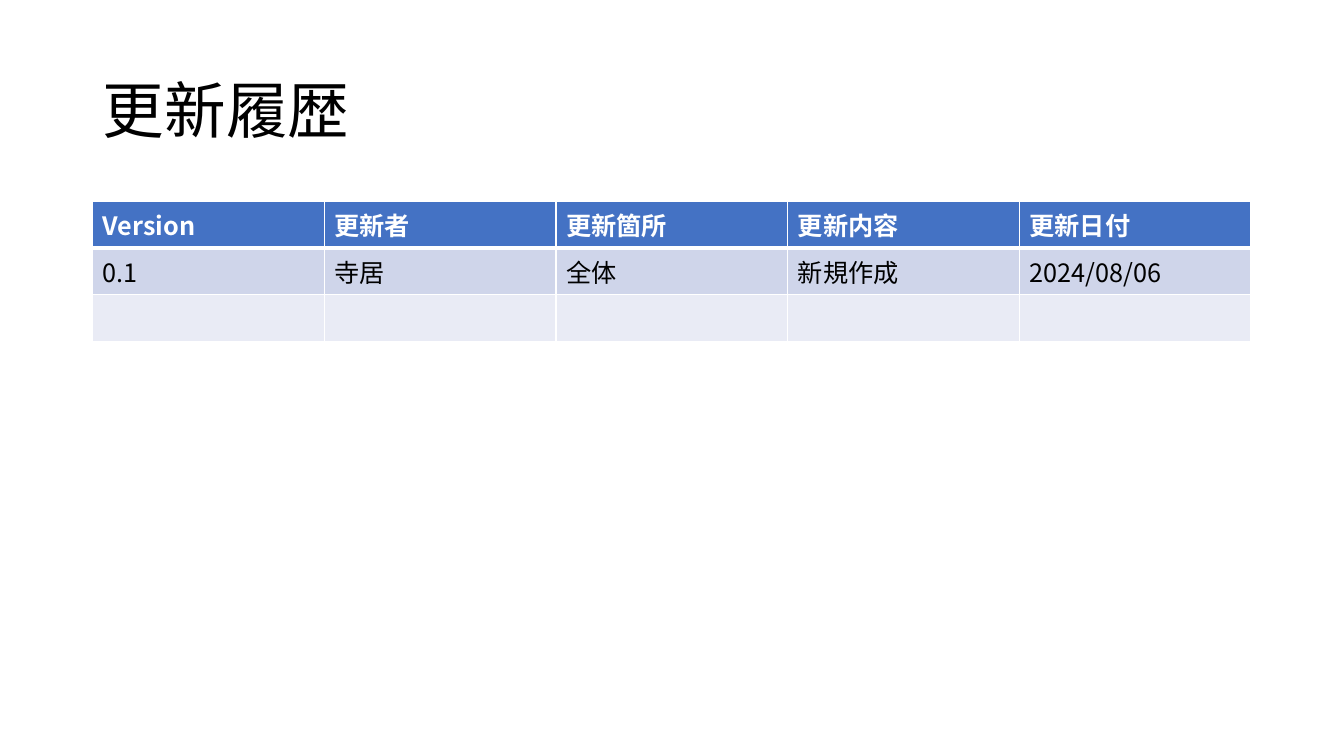
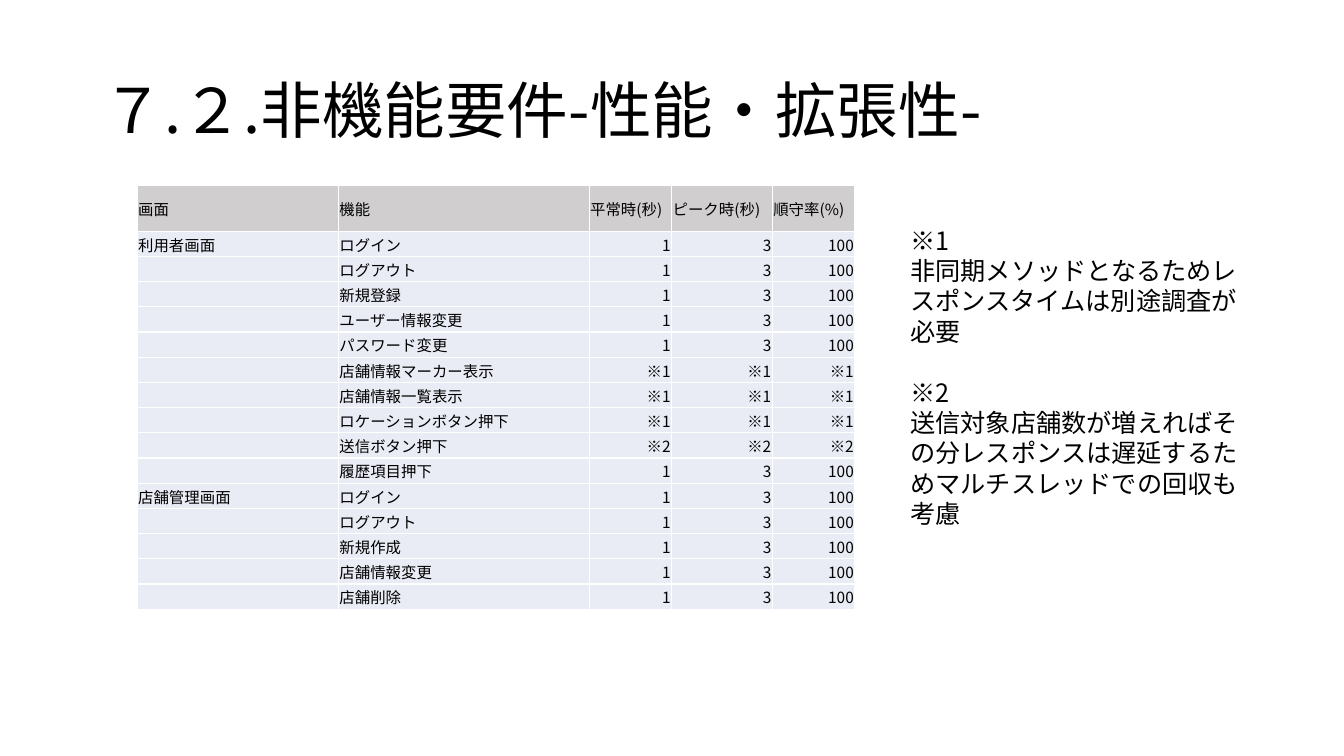
from lxml import etree
from pptx import Presentation
from pptx.dml.color import RGBColor
from pptx.enum.text import MSO_ANCHOR, MSO_AUTO_SIZE, PP_ALIGN
from pptx.oxml.ns import qn
from pptx.util import Inches, Pt

LEFT, RIGHT = PP_ALIGN.LEFT, PP_ALIGN.RIGHT
TOP, MIDDLE = MSO_ANCHOR.TOP, MSO_ANCHOR.MIDDLE
NO_FIT, GROW = MSO_AUTO_SIZE.NONE, MSO_AUTO_SIZE.SHAPE_TO_FIT_TEXT
TITLE_ONLY = 5

SLIDE_W, SLIDE_H = 13.33, 7.5
MARGIN = 0.92
CONTENT_W = SLIDE_W - 2 * MARGIN
TITLE_BOX = (MARGIN, 0.4, CONTENT_W, 1.45)

FONT = "Noto Sans CJK JP"
BLACK, WHITE = "000000", "FFFFFF"
BLUE, BAND_DARK, BAND_LIGHT, GRAY = "4472C4", "CFD5EA", "E9EBF5", "D0CECE"

HISTORY_FORMAT = {"vertical_anchor": TOP}
PERFORMANCE_FORMAT = {
    "vertical_anchor": MIDDLE,
    "margin_left": Inches(0.01),
    "margin_right": Inches(0.01),
    "margin_top": Inches(0.01),
    "margin_bottom": 0,
}

HISTORY = [
    ["Version", "更新者", "更新箇所", "更新内容", "更新日付"],
    ["0.1", "寺居", "全体", "新規作成", "2024/08/06"],
    [""] * 5,
]

MEASURED = ["1", "3", "100"]
SCREENS = {
    "利用者画面": [
        ("ログイン", MEASURED),
        ("ログアウト", MEASURED),
        ("新規登録", MEASURED),
        ("ユーザー情報変更", MEASURED),
        ("パスワード変更", MEASURED),
        ("店舗情報マーカー表示", ["※1"] * 3),
        ("店舗情報一覧表示", ["※1"] * 3),
        ("ロケーションボタン押下", ["※1"] * 3),
        ("送信ボタン押下", ["※2"] * 3),
        ("履歴項目押下", MEASURED),
    ],
    "店舗管理画面": [
        (feature, MEASURED)
        for feature in ("ログイン", "ログアウト", "新規作成", "店舗情報変更", "店舗削除")
    ],
}
PERFORMANCE = [["画面", "機能", "平常時(秒)", "ピーク時(秒)", "順守率(%)"]] + [
    ["" if index else screen, feature, *values]
    for screen, features in SCREENS.items()
    for index, (feature, values) in enumerate(features)
]

NOTES = [
    ("※1", "非同期メソッドとなるためレスポンスタイムは別途調査が必要"),
    ("※2", "送信対象店舗数が増えればその分レスポンスは遅延するためマルチスレッドでの回収も考慮"),
]


def rgb(color):
    return RGBColor.from_string(color)


def set_format(target, values):
    for name, value in values.items():
        setattr(target, name, value)


def write(paragraph, text, size, color=BLACK, bold=False, **layout):
    """Put one styled run in a paragraph; an empty one only gets its text size."""
    set_format(paragraph, layout)
    if not text:
        end = etree.SubElement(paragraph._p, qn("a:endParaRPr"), sz=str(size * 100))
        for script in ("latin", "ea"):
            etree.SubElement(end, qn(f"a:{script}"), typeface=FONT)
        return
    run = paragraph.add_run()
    run.text = text
    set_format(run.font, {"name": FONT, "size": Pt(size), "bold": bold})
    run.font.color.rgb = rgb(color)
    latin = run.font._element.find(qn("a:latin"))
    latin.addnext(etree.Element(qn("a:ea"), typeface=FONT))


def set_borders(cell, top, bottom):
    """Draw white cell borders; top and bottom are line widths in points."""
    properties = cell._tc.get_or_add_tcPr()
    widths = {"lnL": 1, "lnR": 1, "lnT": top, "lnB": bottom}
    for index, (side, width) in enumerate(widths.items()):
        line = etree.Element(qn(f"a:{side}"), w=str(Pt(width)))
        fill = etree.SubElement(line, qn("a:solidFill"))
        etree.SubElement(fill, qn("a:srgbClr"), val=WHITE)
        properties.insert(index, line)


def add_titled_slide(deck, title):
    slide = deck.slides.add_slide(deck.slide_layouts[TITLE_ONLY])
    heading = slide.shapes.title
    set_format(heading, dict(zip(("left", "top", "width", "height"), map(Inches, TITLE_BOX))))
    set_format(heading.text_frame,
               {"vertical_anchor": MIDDLE, "word_wrap": True, "auto_size": NO_FIT})
    write(heading.text_frame.paragraphs[0], title, 44, alignment=LEFT, line_spacing=0.9)
    return slide


def add_grid(slide, box, rows, columns, fills, size, cell_format,
             header_color=BLACK, header_bold=False, header_line=1, numeric_from=None):
    """Fill the box with a table; columns are shares, fills go row by row."""
    grid = slide.shapes.add_table(len(rows), len(columns), *map(Inches, box)).table
    set_format(grid, {"first_row": False, "horz_banding": False})
    for column, share in zip(grid.columns, columns):
        column.width = Inches(box[2] * share / sum(columns))
    for row in grid.rows:
        row.height = Inches(box[3] / len(rows))
    for r, texts in enumerate(rows):
        header = r == 0
        for c, text in enumerate(texts):
            cell = grid.cell(r, c)
            set_format(cell, cell_format)
            cell.fill.solid()
            cell.fill.fore_color.rgb = rgb(fills[r])
            set_borders(cell, header_line if r == 1 else 1, header_line if header else 1)
            numeric = numeric_from is not None and c >= numeric_from and not header
            write(cell.text_frame.paragraphs[0], text, size,
                  header_color if header else BLACK, header and header_bold,
                  alignment=RIGHT if numeric else LEFT)


def add_notes(slide, box, notes, size=18, pitch=21.7):
    frame = slide.shapes.add_textbox(*map(Inches, box)).text_frame
    set_format(frame, {"word_wrap": True, "auto_size": GROW})
    for index, (mark, explanation) in enumerate(notes):
        first = frame.add_paragraph() if index else frame.paragraphs[0]
        write(first, mark, size, line_spacing=Pt(pitch),
              space_before=Pt(pitch if index else 0))
        write(frame.add_paragraph(), explanation, size, line_spacing=Pt(pitch))


def add_history_slide(deck):
    slide = add_titled_slide(deck, "更新履歴")
    add_grid(slide, (MARGIN, 2, CONTENT_W, 1.22), HISTORY, [1] * 5,
             [BLUE, BAND_DARK, BAND_LIGHT], 18, HISTORY_FORMAT,
             header_color=WHITE, header_bold=True, header_line=3)


def add_performance_slide(deck):
    slide = add_titled_slide(deck, "７.２.非機能要件-性能・拡張性-")
    fills = [GRAY] + [BAND_LIGHT] * (len(PERFORMANCE) - 1)
    add_grid(slide, (1.36, 1.84, 7.12, 4), PERFORMANCE, [2, 2.49, 0.82, 1, 0.82],
             fills, 11, PERFORMANCE_FORMAT, numeric_from=2)
    add_notes(slide, (8.93, 2.18, 3.58, 3.13), NOTES)


def main():
    deck = Presentation()
    set_format(deck, {"slide_width": Inches(SLIDE_W), "slide_height": Inches(SLIDE_H)})
    add_history_slide(deck)
    add_performance_slide(deck)
    deck.save("out.pptx")


if __name__ == "__main__":
    main()
